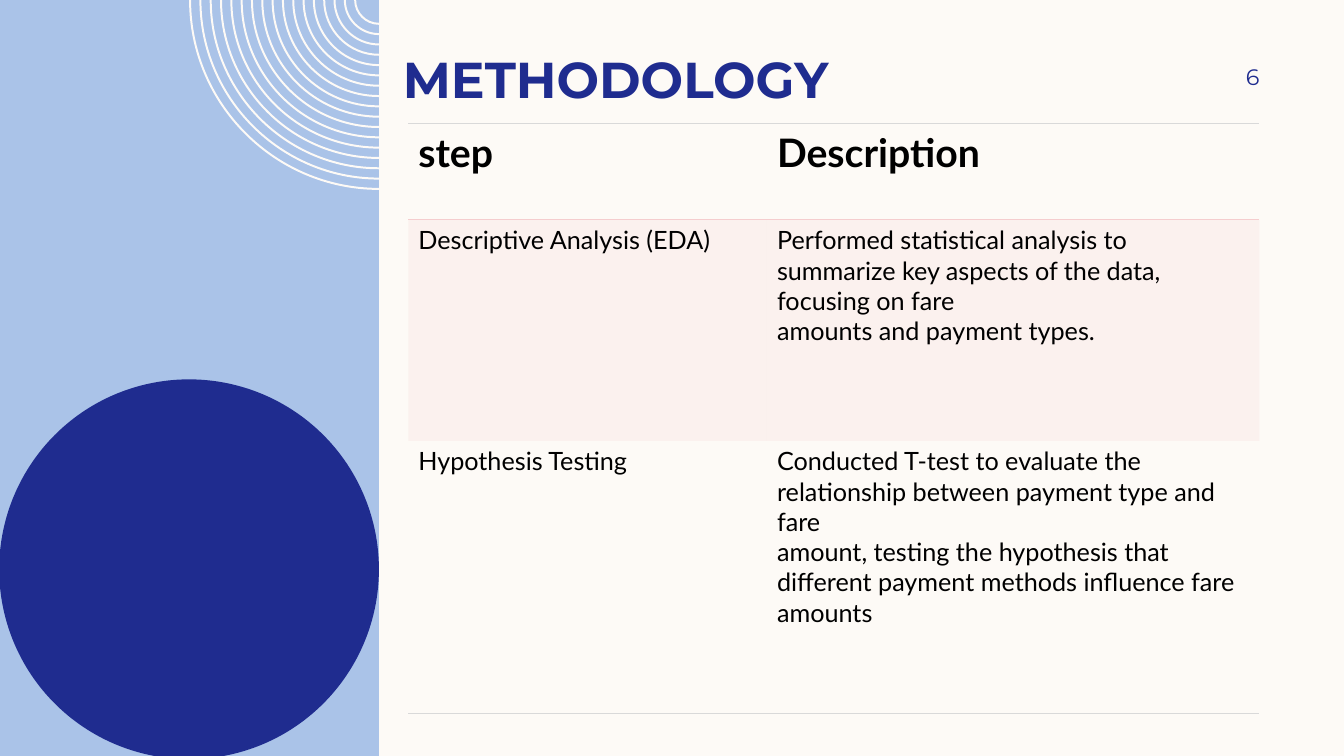
"""Build the methodology slide."""
from pptx import Presentation
from pptx.dml.color import RGBColor
from pptx.enum.shapes import MSO_SHAPE as Shape
from pptx.enum.text import MSO_ANCHOR as Anchor, MSO_AUTO_SIZE as AutoSize, PP_ALIGN as Align
from pptx.oxml.ns import qn
from pptx.util import Cm, Pt
from lxml.etree import SubElement

NAVY, SKY, CREAM, PINK, GREY, BLACK = "1F2C8F", "AAC3E8", "FDFAF6", "F5CDCE", "D9D9D9", "000000"
CURVE = 0.55
COLUMN_WIDTHS = (9.04, 12.41)
ROW_HEIGHTS = (2.42, 5.57, 6.87)
ROW_EDGES = (GREY, PINK, None, GREY)
ROWS = [
    (["step"], ["Description"]),
    (["Descriptive Analysis (EDA)"],
     ["Performed statistical analysis to summarize key aspects of the data, focusing on fare",
      "amounts and payment types."]),
    (["Hypothesis Testing"],
     ["Conducted T-test to evaluate the relationship between payment type and fare",
      "amount, testing the hypothesis that different payment methods influence fare",
      "amounts"]),
]
HEADING = {"name": "Montserrat", "size": Pt(36), "bold": True}
NUMBER = {"name": "Montserrat", "size": Pt(16), "bold": False}
TABLE_HEAD = {"name": "Lato", "size": Pt(28), "bold": True}
TABLE_BODY = {"name": "Lato", "size": Pt(18), "bold": False}


def paint(target, color):
    """Give a fill one solid colour."""
    target.solid()
    target.fore_color.rgb = RGBColor.from_string(color)


def set_values(target, values):
    """Set each attribute of the target from a dict."""
    for name, value in values.items():
        setattr(target, name, value)


def write(frame, lines, font, color, align=Align.LEFT):
    """Write one paragraph per line in a single format."""
    for index, line in enumerate(lines):
        paragraph = frame.paragraphs[0] if index == 0 else frame.add_paragraph()
        paragraph.alignment = align
        run = paragraph.add_run()
        run.text = line
        set_values(run.font, font)
        run.font.color.rgb = RGBColor.from_string(color)


def finish(shape, color):
    """Fill a shape and remove its outline and shadow."""
    shape.shadow.inherit = False
    paint(shape.fill, color)
    shape.line.fill.background()


def add_plain(slide, kind, box, color):
    """Add a filled preset shape."""
    finish(slide.shapes.add_shape(kind, *map(Cm, box)), color)


def round_diagonals(shape):
    """Turn each slanted segment of a freeform into a quarter circle."""
    x, y = 0, 0
    for step in shape._element.find(f".//{qn('a:path')}"):
        point = step.find(qn("a:pt"))
        if point is None:
            continue
        end_x, end_y = int(point.get("x")), int(point.get("y"))
        if step.tag == qn("a:lnTo") and x != end_x and y != end_y:
            across, down = CURVE * (end_x - x), CURVE * (end_y - y)
            if end_y > y:
                controls = [(x, y + down), (end_x - across, end_y)]
            else:
                controls = [(x + across, y), (end_x, end_y - down)]
            curve = SubElement(step.getparent(), qn("a:cubicBezTo"))
            for point_x, point_y in controls + [(end_x, end_y)]:
                SubElement(curve, qn("a:pt"), x=str(round(point_x)), y=str(round(point_y)))
            step.getparent().replace(step, curve)
        x, y = end_x, end_y


def add_rings(slide, center, top, radius, step=0.26, thickness=0.05, count=17):
    """Draw concentric quarter rings that hang from the top edge."""
    builder = slide.shapes.build_freeform(Cm(center - radius), Cm(top))
    for ring in range(count):
        outer = radius - ring * step
        inner = outer - thickness
        start = (Cm(center - outer), Cm(top))
        if ring:
            builder.move_to(*start)
        builder.add_line_segments([(Cm(center - inner), Cm(top)), (Cm(center), Cm(top + inner)),
                                   (Cm(center), Cm(top + outer)), start])
    shape = builder.convert_to_shape()
    round_diagonals(shape)
    finish(shape, CREAM)


def add_side_panel(slide, left, top, width, height):
    """Place the blue panel with its rings and large circle."""
    add_plain(slide, Shape.RECTANGLE, (left, top, width, height), SKY)
    add_rings(slide, left + width, top, width / 2)
    add_plain(slide, Shape.OVAL, (left, top + height - width, width, width), NAVY)


def add_header(slide, left, top, width):
    """Place the title and the slide number."""
    title = slide.shapes.title
    set_values(title, {"left": Cm(left), "top": Cm(top), "width": Cm(19.56), "height": Cm(1.47)})
    set_values(title.text_frame, {"word_wrap": True, "auto_size": AutoSize.NONE,
                                  "vertical_anchor": Anchor.BOTTOM,
                                  "margin_top": 0, "margin_bottom": 0})
    write(title.text_frame, ["METHODOLOGY"], HEADING, NAVY)
    number = slide.shapes.add_textbox(Cm(left + width - 2.74), Cm(top), Cm(2.74), Cm(1.32))
    set_values(number.text_frame, {"word_wrap": True, "vertical_anchor": Anchor.MIDDLE,
                                   "margin_right": 0})
    write(number.text_frame, ["6"], NUMBER, NAVY, Align.RIGHT)


def set_borders(cell, top, bottom):
    """Rule the top and bottom of a cell and clear its sides."""
    properties = cell._tc.get_or_add_tcPr()
    for side, color in (("L", None), ("R", None), ("T", top), ("B", bottom)):
        line = SubElement(properties, qn(f"a:ln{side}"), w=str(Pt(1)))
        if color:
            fill = SubElement(line, qn("a:solidFill"))
            SubElement(fill, qn("a:srgbClr"), val=color)
        else:
            SubElement(line, qn("a:noFill"))


def tint(cell, color, percent):
    """Fill a cell with a see-through colour."""
    paint(cell.fill, color)
    tone = cell._tc.tcPr.find(f"{qn('a:solidFill')}/{qn('a:srgbClr')}")
    SubElement(tone, qn("a:alpha"), val=str(percent * 1000))


def add_steps_table(slide, left, top):
    """Place the table of steps and descriptions."""
    table = slide.shapes.add_table(len(ROWS), len(COLUMN_WIDTHS), Cm(left), Cm(top),
                                   Cm(sum(COLUMN_WIDTHS)), Cm(sum(ROW_HEIGHTS))).table
    set_values(table, {"first_row": False, "horz_banding": False})
    for column, width in zip(table.columns, COLUMN_WIDTHS):
        column.width = Cm(width)
    for index, texts in enumerate(ROWS):
        table.rows[index].height = Cm(ROW_HEIGHTS[index])
        for cell, lines in zip(table.rows[index].cells, texts):
            set_borders(cell, ROW_EDGES[index], ROW_EDGES[index + 1])
            if index == 1:
                tint(cell, PINK, 20)
            else:
                cell.fill.background()
            write(cell.text_frame, lines, TABLE_BODY if index else TABLE_HEAD, BLACK)


def main():
    """Build and save the presentation."""
    presentation = Presentation()
    set_values(presentation, {"slide_width": Cm(33.87), "slide_height": Cm(19.05)})
    slide = presentation.slides.add_slide(presentation.slide_layouts[5])
    paint(slide.background.fill, CREAM)
    add_side_panel(slide, -0.02, 0, 9.57, 19.13)
    add_header(slide, 9.9, 1.27, 21.84)
    add_steps_table(slide, 10.29, 3.12)
    presentation.save("out.pptx")


if __name__ == "__main__":
    main()
